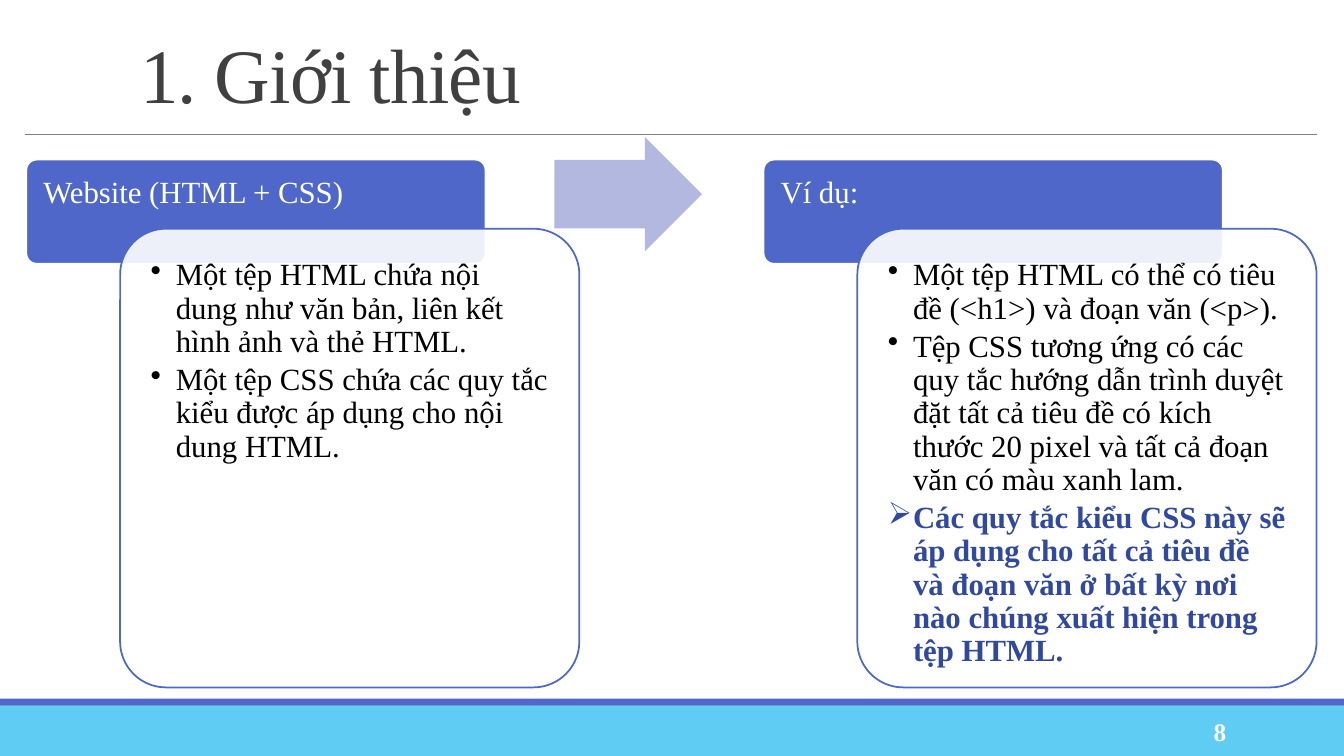
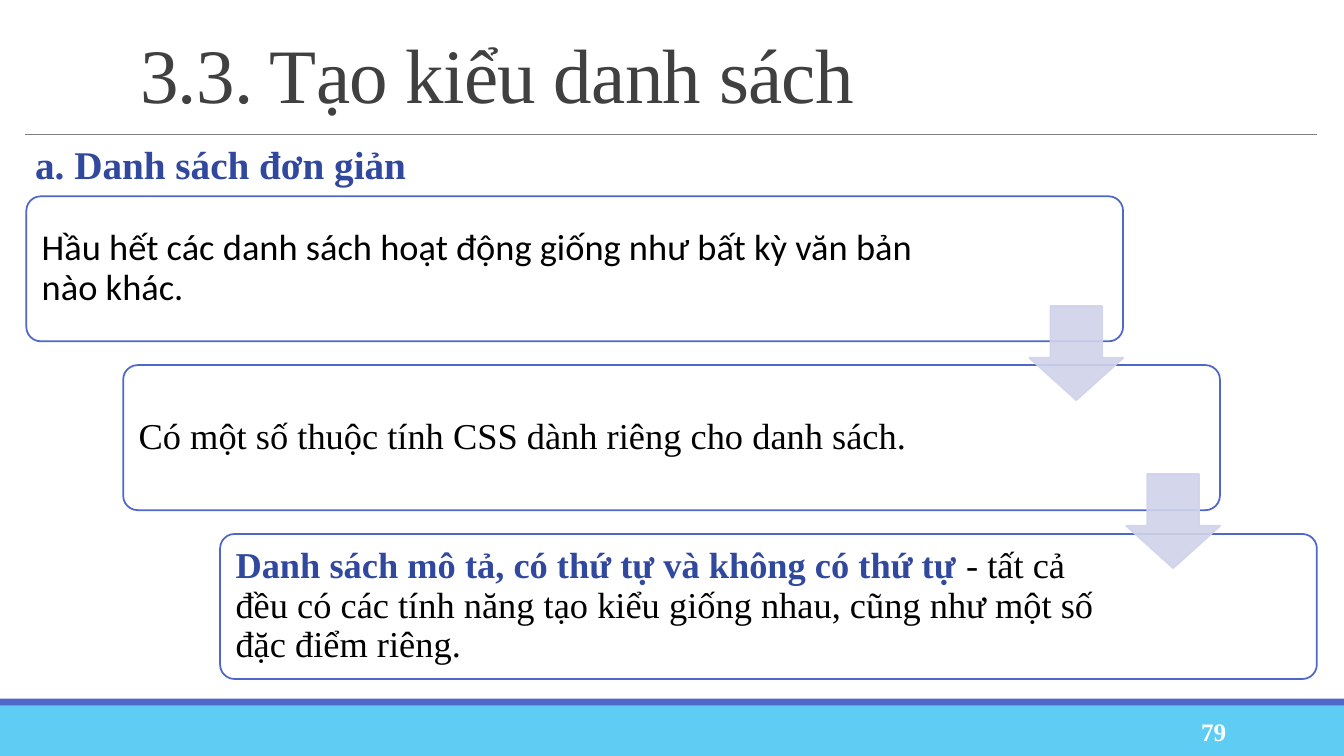
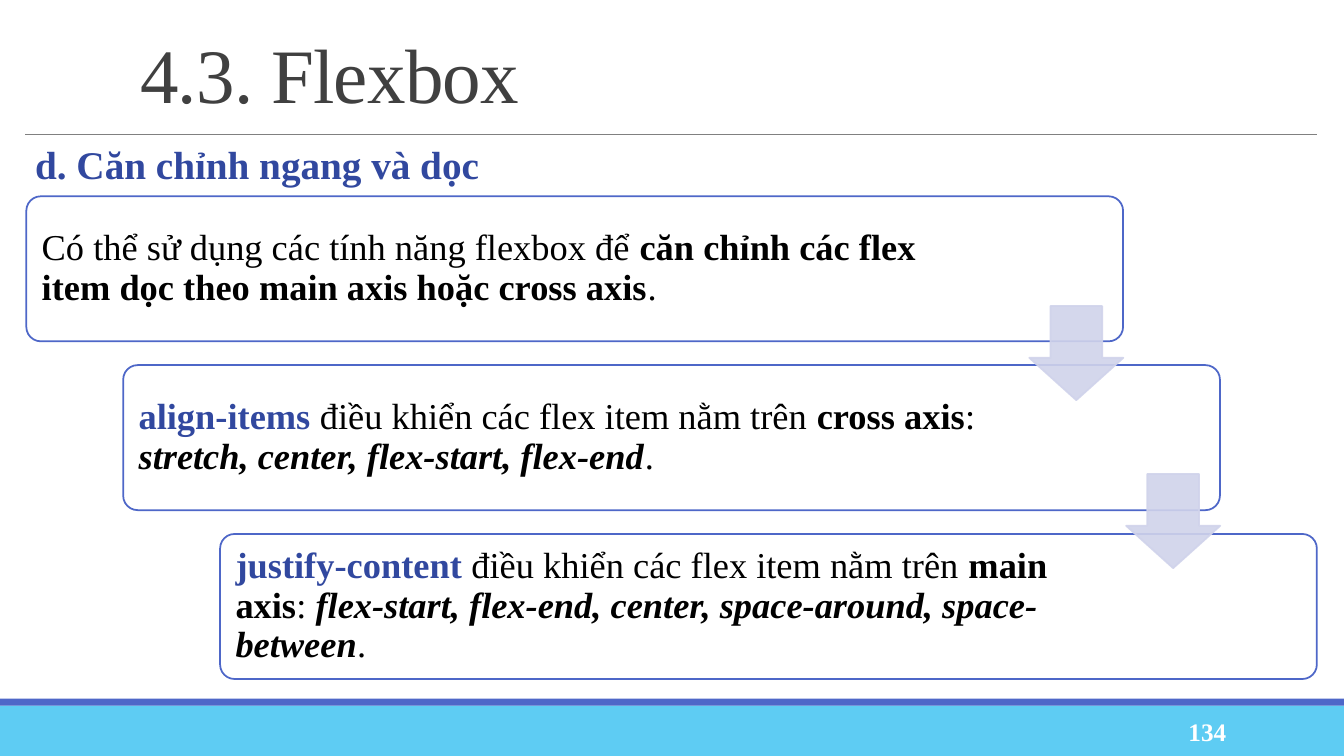
from pptx import Presentation, util as u
from pptx.dml.color import RGBColor
from pptx.enum import shapes, text
from pptx.oxml.ns import qn
from lxml import etree

Pt = u.Pt
Kind = shapes.MSO_SHAPE
Anchor = text.MSO_ANCHOR
Align = text.PP_ALIGN
C = {
    "white": "FFFFFF", "black": "000000", "gray": "808080", "title": "404040",
    "sky": "5ECCF3", "blue": "4E67C8", "key": "31489F",
    "next": "B2B8E0", "down": "D0D3EB",
}
SERIF = "Times New Roman"


def draw(page, kind, box, fill, edge=None, adj=(), alpha=None):
    """Add a preset shape; alpha (percent) fades every use of the fill colour."""
    shp = page.shapes.add_shape(kind, *map(Pt, box))
    shp.shadow.inherit = False
    shp.fill.solid()
    shp.fill.fore_color.rgb = RGBColor.from_string(C[fill])
    if edge:
        shp.line.color.rgb = RGBColor.from_string(C[edge])
        shp.line.width = Pt(1.25)
    else:
        shp.line.fill.background()
    for i, val in enumerate(adj):
        shp.adjustments[i] = val
    if alpha:
        for clr in shp._element.spPr.iter(qn("a:srgbClr")):
            if clr.get("val") == C[fill]:
                etree.SubElement(clr, qn("a:alpha")).set("val", str(alpha * 1000))
    return shp


def write(shp, paras, size, color, pad=(7.2, 3.6, 7.2, 3.6), anchor=Anchor.TOP,
          align=Align.LEFT, space=0.9, marks="", track=0):
    """Fill a shape with paragraphs of (text, style) runs.

    Style letters: b bold, i italic, k key colour, c Calibri.
    marks holds one bullet sign per paragraph; track is letter spacing in points.
    """
    frame = shp.text_frame
    frame.word_wrap = True
    frame.vertical_anchor = anchor
    (frame.margin_left, frame.margin_top,
     frame.margin_right, frame.margin_bottom) = map(Pt, pad)
    for i, runs in enumerate(paras):
        par = frame.add_paragraph() if i else frame.paragraphs[0]
        par.alignment = align
        par.line_spacing = space
        props = par._p.get_or_add_pPr()
        if marks:
            par.space_after = Pt(3.6)
            props.set("marL", str(Pt(18)))
            props.set("indent", str(-Pt(18)))
            etree.SubElement(props, qn("a:buChar")).set("char", marks[i])
        par.font.name = SERIF
        par.font.size = Pt(size)
        par.font.color.rgb = RGBColor.from_string(C[color])
        if track:
            props.get_or_add_defRPr().set("spc", str(int(track * 100)))
        for words, style in runs:
            run = par.add_run()
            run.text = words
            font = par.font if len(runs) == 1 else run.font
            if "b" in style:
                font.bold = True
            if "i" in style:
                font.italic = True
            if "k" in style:
                font.color.rgb = RGBColor.from_string(C["key"])
            if "c" in style:
                font.name = "Calibri"


PANELS = [
    ("Website (HTML + CSS)", "••", [
        [("Một tệp HTML chứa nội dung như văn bản, liên kết hình ảnh và thẻ HTML.", "")],
        [("Một tệp CSS chứa các quy tắc kiểu được áp dụng cho nội dung HTML.", "")],
    ]),
    ("Ví dụ:", "••➢", [
        [("Một tệp HTML có thể có tiêu đề (<h1>) và đoạn văn (<p>).", "")],
        [("Tệp CSS tương ứng có các quy tắc hướng dẫn trình duyệt đặt tất cả tiêu đề "
          "có kích thước 20 pixel và tất cả đoạn văn có màu xanh lam.", "")],
        [("Các quy tắc kiểu CSS này sẽ áp dụng cho tất cả tiêu đề và đoạn văn ở bất kỳ "
          "nơi nào chúng xuất hiện trong tệp HTML.", "bk")],
    ]),
]
LISTS = [
    [("Hầu hết các danh sách hoạt động giống như bất kỳ văn bản nào khác.", "c")],
    [("Có một số thuộc tính CSS dành riêng cho danh sách.", "")],
    [("Danh sách mô tả, có thứ tự và không có thứ tự ", "bk"),
     ("- tất cả đều có các tính năng tạo kiểu giống nhau, cũng như một số "
      "đặc điểm riêng.", "")],
]
FLEX = [
    [("Có thể sử dụng các tính năng flexbox để ", ""),
     ("căn chỉnh các flex item dọc theo main axis hoặc cross axis", "b"), (".", "")],
    [("align-items", "bk"), (" điều khiển các flex item nằm trên ", ""),
     ("cross axis", "b"), (": ", ""),
     ("stretch, center, flex-start, flex-end", "bi"), (".", "")],
    [("justify-content", "bk"), (" điều khiển các flex item nằm trên ", ""),
     ("main axis", "b"), (": ", ""),
     ("flex-start, flex-end, center, space-around, space-between", "bi"), (".", "")],
]
PAGES = [
    ("8", "1. Giới thiệu", "", []),
    ("79", "3.3. Tạo kiểu danh sách", "a. Danh sách đơn giản", LISTS),
    ("134", "4.3. Flexbox", "d. Căn chỉnh ngang và dọc", FLEX),
]

deck = Presentation()
deck.slide_width, deck.slide_height = Pt(960), Pt(540)

for num, title, sub, steps in PAGES:
    page = deck.slides.add_slide(deck.slide_layouts[6])

    # Bands, rule, title and page number
    draw(page, Kind.RECTANGLE, (0, 504, 960, 36), "sky")
    draw(page, Kind.RECTANGLE, (0, 499, 960, 5), "blue")
    rule = page.shapes.add_connector(shapes.MSO_CONNECTOR.STRAIGHT,
                                     Pt(18), Pt(95.8), Pt(941), Pt(95.8))
    rule.line.color.rgb = RGBColor.from_string(C["gray"])
    rule.line.width = Pt(0.5)
    etree.SubElement(rule._element.spPr, qn("a:effectLst"))
    head = page.shapes.add_textbox(Pt(93), Pt(22.3), Pt(848), Pt(69))
    write(head, [[(title, "")]], 55, "title", anchor=Anchor.MIDDLE, space=0.85, track=-0.5)
    foot = page.shapes.add_textbox(Pt(780), Pt(508.3), Pt(103), Pt(28.8))
    write(foot, [[(num, "b")]], 18, "white", anchor=Anchor.MIDDLE,
          align=Align.RIGHT, space=1)

    if sub:
        line = page.shapes.add_textbox(Pt(18), Pt(100.8), Pt(923), Pt(38))
        write(line, [[(sub, "bk")]], 28, "key", pad=(7.2, 3.6, 0, 3.6))

    # Staircase of cards
    for i, runs in enumerate(steps):
        card = draw(page, Kind.ROUNDED_RECTANGLE,
                    (18.8 + 69.2 * i, 140.2 + 120.6 * i, 783.4, 103.6),
                    "white", "blue", [0.1])
        write(card, [runs], 26, "black", pad=(8, 8, 143 if i else 113, 8),
              anchor=Anchor.MIDDLE)
    for i in range(len(steps) - 1):
        draw(page, Kind.DOWN_ARROW, (735.2 + 69.2 * i, 218.6 + 120 * i, 67.2, 67.2),
             "down", "down", [0.55, 0.45], 90)

# Two panels joined by an arrow
page = deck.slides[0]
for i, (name, marks, paras) in enumerate(PANELS):
    left = 18.8 + 526.6 * i
    tab = draw(page, Kind.ROUNDED_RECTANGLE, (left, 114, 328, 74.4), "blue", "white", [0.1])
    write(tab, [[(name, "")]], 22, "white", pad=(10, 10, 10, 6))
    panel = draw(page, Kind.ROUNDED_RECTANGLE, (left + 67, 163.4, 328, 327.6),
                 "white", "blue", [0.1], 90)
    write(panel, paras, 22, "black", pad=(12.2,) * 4, marks=marks)
draw(page, Kind.RIGHT_ARROW, (396, 98, 105.4, 81.4), "next", adj=[0.6, 0.5])

deck.save("out.pptx")
